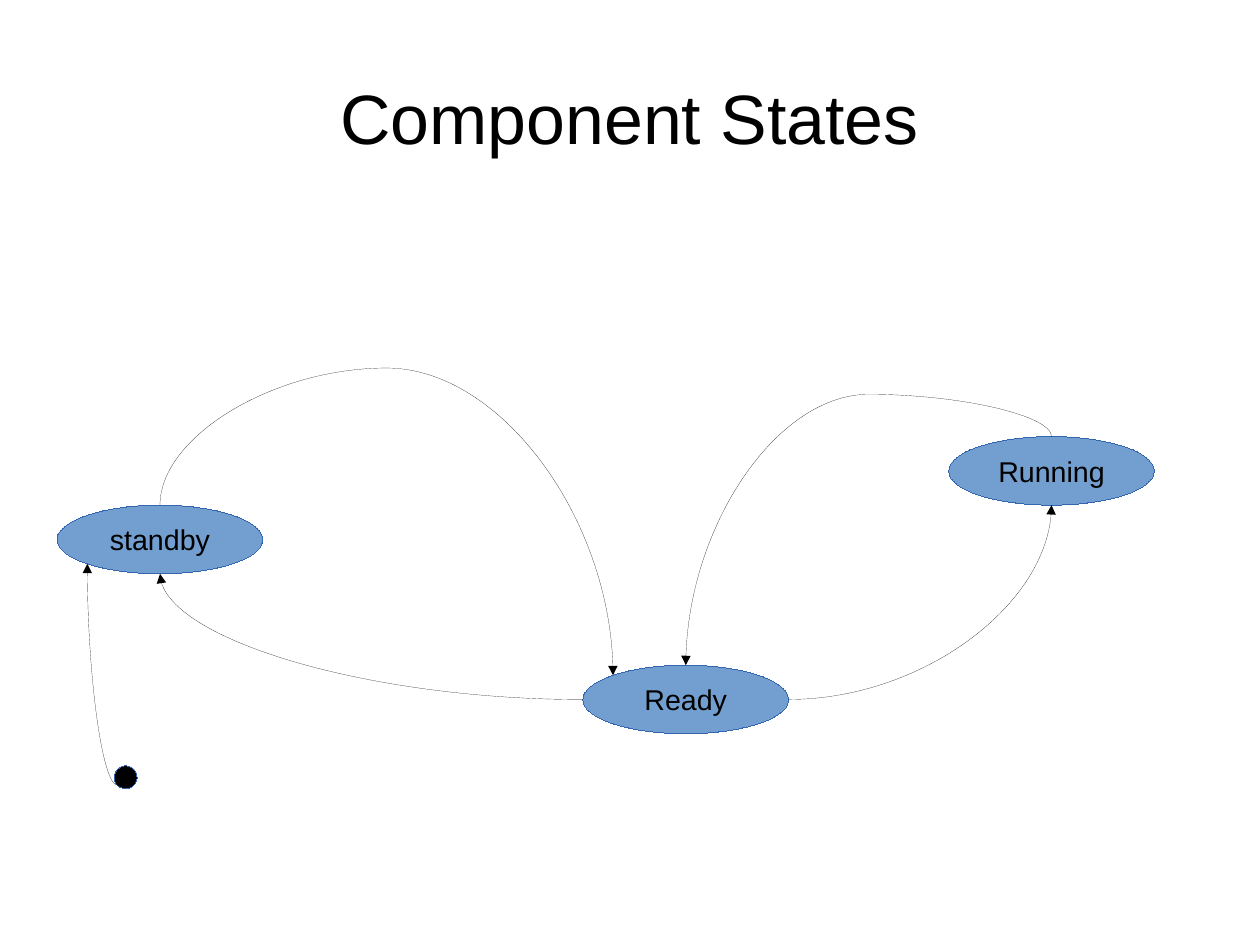
from math import cos, pi, sin

from lxml import etree
from pptx import Presentation
from pptx.dml.color import RGBColor
from pptx.enum.shapes import MSO_CONNECTOR, MSO_SHAPE
from pptx.enum.text import MSO_ANCHOR, PP_ALIGN
from pptx.oxml.ns import qn
from pptx.util import Cm, Inches, Pt

TITLE = "Component States"
FONT = "Arial"
COLORS = {"state": "729FCF", "outline": "3465AF", "black": "000000"}

# name: (label, left, top, width, height, fill)
STATES = {
    "standby": ("standby", 0.5, 4.42, 1.8, 0.6, "state"),
    "ready": ("Ready", 5.1, 5.82, 1.8, 0.6, "state"),
    "running": ("Running", 8.3, 3.82, 1.8, 0.6, "state"),
    "start": ("", 1, 6.7, 0.2, 0.2, "black"),
}

# Connection sites of an ellipse, counted anticlockwise from the top
TOP, TOP_LEFT, LEFT, BOTTOM_LEFT, BOTTOM, _, RIGHT, _ = range(8)

# (from, site, to, site, rotation, flip, y of the peak or None for a plain bend)
TRANSITIONS = [
    ("standby", TOP, "ready", TOP_LEFT, 270, "flipH", 3.22),
    ("running", TOP, "ready", TOP, 90, None, 3.45),
    ("ready", LEFT, "standby", BOTTOM, 180, None, None),
    ("start", BOTTOM_LEFT, "standby", BOTTOM_LEFT, 180, None, None),
    ("ready", RIGHT, "running", BOTTOM, 0, "flipV", None),
]


def rgb(name):
    return RGBColor.from_string(COLORS[name])


def format_text(tf, text, size):
    tf.text = text
    tf.vertical_anchor = MSO_ANCHOR.MIDDLE
    p = tf.paragraphs[0]
    p.alignment = PP_ALIGN.CENTER
    p.font.name, p.font.size = FONT, Pt(size)
    p.font.color.rgb = rgb("black")


def set_hairline(s, color):
    """Write a zero width explicitly, which line.width would leave out."""
    s.line.color.rgb = rgb(color)
    s.element.spPr.find(qn("a:ln")).set("w", "0")


def add_state(slide, label, left, top, width, height, fill):
    s = slide.shapes.add_shape(MSO_SHAPE.OVAL, Inches(left), Inches(top),
                               Inches(width), Inches(height))
    s.shadow.inherit = False
    s.fill.solid()
    s.fill.fore_color.rgb = rgb(fill)
    set_hairline(s, "outline")
    if label:
        s.text_frame.word_wrap = False
        format_text(s.text_frame, label, 18)
    return s


def site_point(name, site):
    _, left, top, width, height, _ = STATES[name]
    angle = site * pi / 4
    return (left + width / 2 * (1 - sin(angle)),
            top + height / 2 * (1 - cos(angle)))


def add_transition(slide, ovals, source, site1, target, site2, rot, flip, peak):
    """Add a curved arrow glued to two ovals."""
    x1, y1 = site_point(source, site1)
    x2, y2 = site_point(target, site2)
    width, height = abs(x2 - x1), abs(y2 - y1)
    if rot in (90, 270):
        width, height = height, width
    left, top = (x1 + x2 - width) / 2, (y1 + y2 - height) / 2
    c = slide.shapes.add_connector(
        MSO_CONNECTOR.CURVE, Inches(left), Inches(top),
        Inches(left + width), Inches(top + height))
    set_hairline(c, "black")

    glue = c.element.nvCxnSpPr.cNvCxnSpPr
    for end, name, site in ((glue.get_or_add_stCxn(), source, site1),
                            (glue.get_or_add_endCxn(), target, site2)):
        end.set("id", str(ovals[name].shape_id))
        end.set("idx", str(site))

    sp_pr = c.element.spPr
    xfrm = sp_pr.find(qn("a:xfrm"))
    xfrm.set("rot", str(rot * 60000))
    if flip:
        xfrm.set(flip, "1")
    geom = sp_pr.find(qn("a:prstGeom"))
    if peak is None:
        geom.set("prst", "curvedConnector2")
    else:
        adj = round((peak - y1) / (y2 - y1) * 100000)
        etree.SubElement(geom.find(qn("a:avLst")), qn("a:gd"),
                         name="adj1", fmla=f"val {adj}")
    etree.SubElement(sp_pr.find(qn("a:ln")), qn("a:tailEnd"), type="triangle")
    etree.SubElement(sp_pr, qn("a:effectLst"))


def main():
    prs = Presentation()
    prs.slide_width, prs.slide_height = Cm(28), Cm(21)
    slide = prs.slides.add_slide(prs.slide_layouts[5])

    title = slide.shapes.title
    title.left, title.top = Inches(0.55), Inches(0.33)
    title.width, title.height = Inches(9.92), Inches(1.38)
    tf = title.text_frame
    tf.margin_left = tf.margin_right = tf.margin_top = tf.margin_bottom = 0
    format_text(tf, TITLE, 44)

    ovals = {name: add_state(slide, *state) for name, state in STATES.items()}
    for transition in TRANSITIONS:
        add_transition(slide, ovals, *transition)

    prs.save("out.pptx")


if __name__ == "__main__":
    main()
